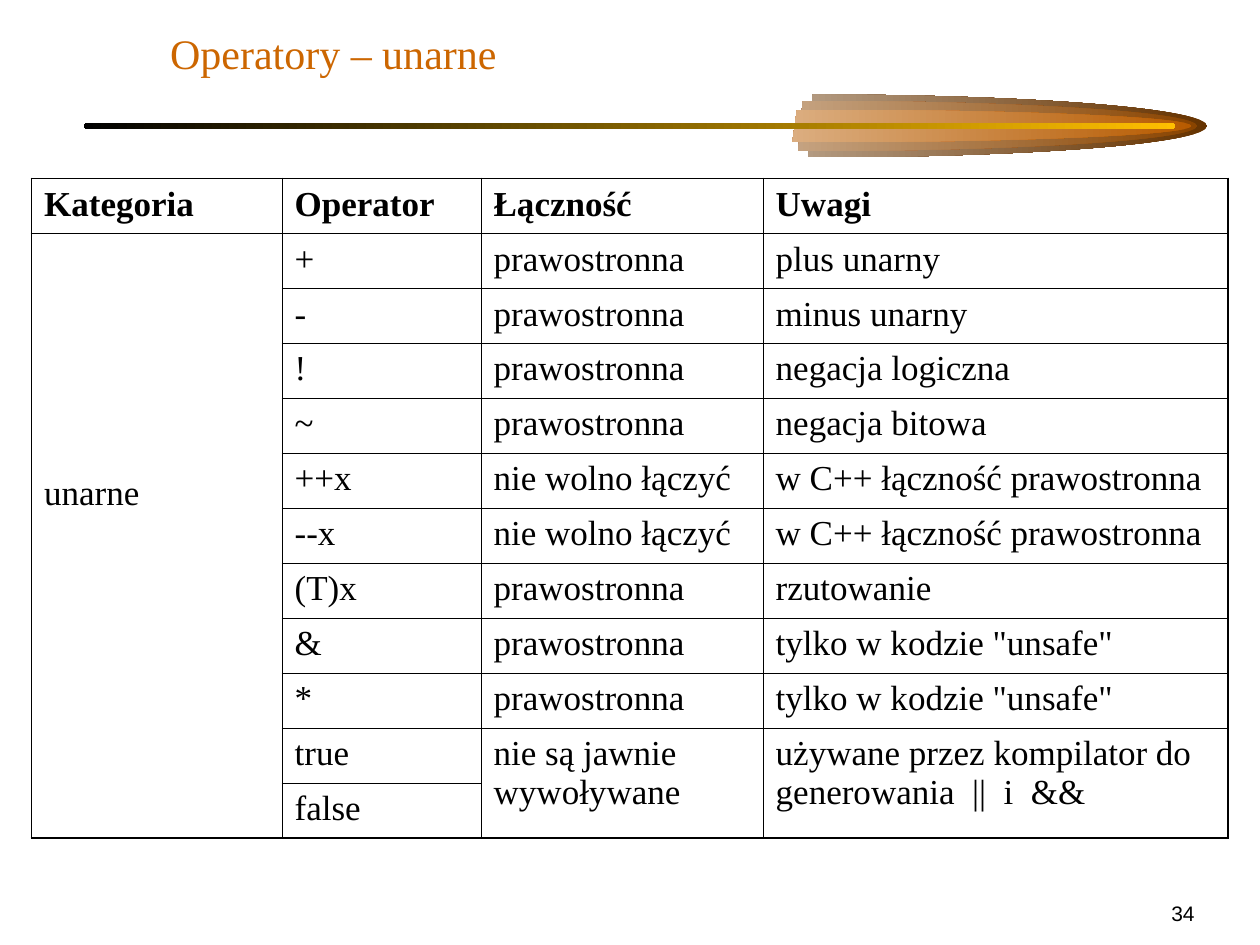
from dataclasses import dataclass

from lxml import etree
from pptx import Presentation
from pptx.dml.color import RGBColor
from pptx.enum.shapes import MSO_SHAPE
from pptx.enum.text import MSO_ANCHOR, MSO_AUTO_SIZE, PP_ALIGN
from pptx.oxml.ns import qn
from pptx.util import Pt

ROUND = MSO_SHAPE.ROUNDED_RECTANGLE
BOTTOM, MIDDLE = MSO_ANCHOR.BOTTOM, MSO_ANCHOR.MIDDLE
LEFT, RIGHT = PP_ALIGN.LEFT, PP_ALIGN.RIGHT
FIXED = MSO_AUTO_SIZE.NONE


@dataclass(frozen=True)
class Theme:
    serif: str = "Times New Roman"
    sans: str = "Arial"
    title: str = "CC6600"
    ink: str = "000000"
    gold: str = "FFBF00"
    glow: str = "FFFFFF"
    head_size: float = 24
    cell_size: float = 20
    page_size: float = 12
    thin: float = 0.45
    thick: float = 1.08


@dataclass(frozen=True)
class Flame:
    left: float
    half: float
    dark: str


@dataclass(frozen=True)
class Merge:
    col: int
    first: int
    last: int


THEME = Theme()
AXIS = 72
REACH = 225.4
LEAN = 2.6
CURVE = 0.55
FLAMES = (
    Flame(239, 18, "663300"),
    Flame(233.3, 14.4, "894400"),
    Flame(230, 9.4, "B75B00"),
)
PLAIN, NEVER = "prawostronna", "nie wolno łączyć"
IN_CPP, UNSAFE = "w C++ łączność prawostronna", 'tylko w kodzie "unsafe"'
ROWS = (
    ("Kategoria", "Operator", "Łączność", "Uwagi"),
    ("unarne", "+", PLAIN, "plus unarny"),
    ("", "-", PLAIN, "minus unarny"),
    ("", "!", PLAIN, "negacja logiczna"),
    ("", "~", PLAIN, "negacja bitowa"),
    ("", "++x", NEVER, IN_CPP),
    ("", "--x", NEVER, IN_CPP),
    ("", "(T)x", PLAIN, "rzutowanie"),
    ("", "&", PLAIN, UNSAFE),
    ("", "*", PLAIN, UNSAFE),
    ("", "true", "nie są jawnie wywoływane",
     "używane przez kompilator do generowania  ||  i  &&"),
    ("", "false", "", ""),
)
WIDTHS = (143.2, 113.7, 161.2, 265.8)
ROW_HEIGHT = 31.43
MERGES = (Merge(0, 1, 11), Merge(2, 10, 11), Merge(3, 10, 11))
GROUP_DROP = 137.7


def style(para, font: str, size: float, tint: str, bold=False, align=LEFT) -> None:
    para.alignment = align
    para.font.name = font
    para.font.size = Pt(size)
    para.font.bold = bold
    para.font.color.rgb = RGBColor.from_string(tint)


def blend(shape, start: str, end: str) -> None:
    shape.shadow.inherit = False
    shape.line.fill.background()
    shape.fill.gradient()
    shape.fill.gradient_angle = 180
    for stop, tint in zip(shape.fill.gradient_stops, (start, end)):
        stop.color.rgb = RGBColor.from_string(tint)


def bend_lines(shape) -> None:
    track = next(shape._element.iter(qn("a:path")))
    track.remove(track[0])
    lines = track.findall(qn("a:lnTo"))
    for first in range(0, len(lines), 3):
        group = lines[first:first + 3]
        curve = etree.Element(qn("a:cubicBezTo"))
        group[0].addprevious(curve)
        for line in group:
            curve.append(line[0])
            track.remove(line)


def draw_flame(shapes, flame: Flame) -> None:
    mid = flame.left + REACH
    tip = mid + REACH
    top, base = AXIS - flame.half, AXIS + flame.half
    pull, rise = REACH * CURVE, flame.half * CURVE
    knots = (
        (mid + pull, top), (tip, AXIS - rise), (tip, AXIS),
        (tip, AXIS + rise), (mid + pull, base), (mid - LEAN, base),
    )
    pen = shapes.build_freeform(Pt(flame.left), Pt(top))
    pen.move_to(Pt(mid), Pt(top))
    pen.add_line_segments([(Pt(x), Pt(y)) for x, y in knots], close=True)
    shape = pen.convert_to_shape()
    bend_lines(shape)
    blend(shape, flame.dark, THEME.glow)


def draw_bar(shapes) -> None:
    bar = shapes.add_shape(ROUND, Pt(48.2), Pt(70.1), Pt(623.5), Pt(3.8))
    bar.adjustments[0] = 0.5
    blend(bar, THEME.gold, THEME.ink)


def draw_title(title) -> None:
    title.left, title.top, title.width, title.height = Pt(90), Pt(12), Pt(612), Pt(36)
    frame = title.text_frame
    frame.text = "Operatory – unarne"
    frame.auto_size = FIXED
    frame.vertical_anchor = BOTTOM
    style(frame.paragraphs[0], THEME.serif, THEME.head_size, THEME.title)


def add_edge(cell, index: int, side: str, width: float) -> None:
    line = etree.Element(qn(f"a:ln{side}"), w=str(int(Pt(width))))
    fill = etree.SubElement(line, qn("a:solidFill"))
    etree.SubElement(fill, qn("a:srgbClr"), val=THEME.ink)
    cell._tc.get_or_add_tcPr().insert(index, line)


def draw_cell(cell, text: str, row: int, col: int) -> None:
    cell.fill.background()
    if cell.is_spanned:
        return
    cell.text = text
    style(cell.text_frame.paragraphs[0], THEME.serif, THEME.cell_size,
          THEME.ink, bold=row == 0)
    outer = {
        "L": col == 0,
        "R": col == len(WIDTHS) - 1,
        "T": row == 0,
        "B": row + cell.span_height == len(ROWS),
    }
    for index, (side, edge) in enumerate(outer.items()):
        add_edge(cell, index, side, THEME.thick if edge else THEME.thin)


def draw_table(shapes) -> None:
    table = shapes.add_table(len(ROWS), len(WIDTHS), Pt(18), Pt(102),
                             Pt(sum(WIDTHS)), Pt(ROW_HEIGHT * len(ROWS))).table
    table.first_row = table.horz_banding = False
    for column, width in zip(table.columns, WIDTHS):
        column.width = Pt(width)
    for line in table.rows:
        line.height = Pt(ROW_HEIGHT)
    for merge in MERGES:
        table.cell(merge.first, merge.col).merge(table.cell(merge.last, merge.col))
    for row, texts in enumerate(ROWS):
        for col, text in enumerate(texts):
            draw_cell(table.cell(row, col), text, row, col)
    table.cell(1, 0).margin_top = Pt(GROUP_DROP)


def draw_page(shapes) -> None:
    frame = shapes.add_textbox(Pt(612), Pt(510), Pt(77.7), Pt(24)).text_frame
    frame.word_wrap = True
    frame.vertical_anchor = MIDDLE
    frame.text = "34"
    style(frame.paragraphs[0], THEME.sans, THEME.page_size, THEME.ink, align=RIGHT)


def main() -> None:
    deck = Presentation()
    deck.slide_width, deck.slide_height = Pt(720), Pt(540)
    shapes = deck.slides.add_slide(deck.slide_layouts[5]).shapes
    for flame in FLAMES:
        draw_flame(shapes, flame)
    draw_bar(shapes)
    draw_title(shapes.title)
    draw_table(shapes)
    draw_page(shapes)
    deck.save("out.pptx")


if __name__ == "__main__":
    main()
